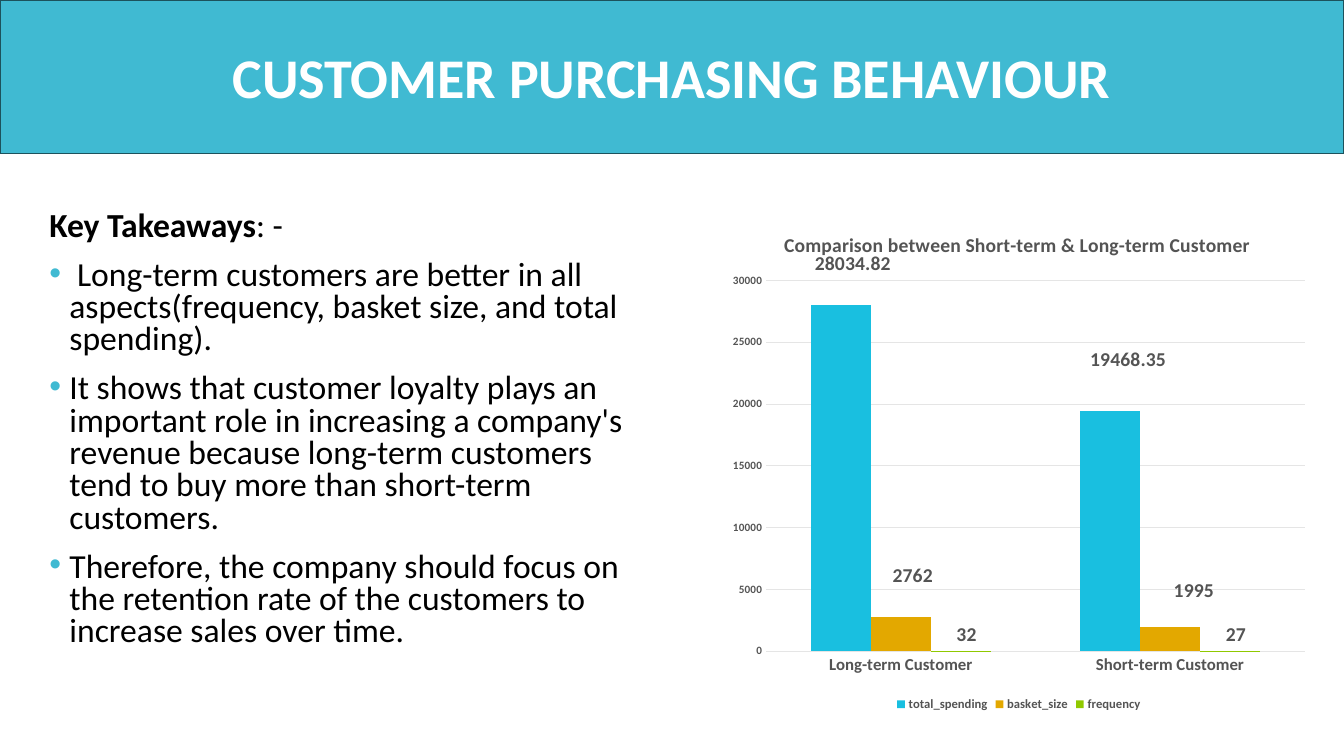
"""Build a slide on customer purchasing behaviour with takeaways and a column chart."""
from lxml import etree
from pptx import Presentation
from pptx import util as u
from pptx.chart import data as chart_data
from pptx.dml.color import RGBColor
from pptx.enum import chart as ch, shapes, text
from pptx.oxml import ns

FONT = "Calibri"
BLACK = RGBColor(0x00, 0x00, 0x00)
WHITE = RGBColor(0xFF, 0xFF, 0xFF)
TEAL = RGBColor(0x40, 0xBA, 0xD2)
DARK_TEAL = RGBColor(0x1C, 0x52, 0x5C)
GREY = RGBColor(0x54, 0x54, 0x54)
GRID = RGBColor(0xE5, 0xE5, 0xE5)
CHART_EXTENSION = "http://schemas.microsoft.com/office/drawing/2012/chart"
LABEL_EXTENSION_ID = "{CE6537A1-D6FC-4f65-9D91-7224C49458BB}"

HEADING = "CUSTOMER PURCHASING BEHAVIOUR "
TAKEAWAYS = [
    " Long-term customers are better in all aspects(frequency, basket size, and total spending).",
    "It shows that customer loyalty plays an important role in increasing a company's revenue "
    "because long-term customers tend to buy more than short-term customers.",
    "Therefore, the company should focus on the retention rate of the customers to increase "
    "sales over time.",
]
CHART_TITLE = "Comparison between Short-term & Long-term Customer"
CATEGORIES = ["Long-term Customer", "Short-term Customer"]
SERIES = [
    ("total_spending", (28034.82, 19468.35), RGBColor(0x19, 0xBF, 0xE0),
     ((0.02, -0.05), (0.03, -0.07))),
    ("basket_size", (2762, 1995), RGBColor(0xE3, 0xA8, 0x00),
     ((0.02, -0.05), (0.04, -0.04))),
    ("frequency", (32, 27), RGBColor(0x90, 0xC9, 0x00),
     ((0.01, 0), (0.01, 0))),
]


def style_font(font, size, color, bold=True):
    values = {"name": FONT, "size": u.Pt(size), "bold": bold}
    for key, value in values.items():
        setattr(font, key, value)
    font.color.rgb = color


def add_span(para, words, size, color, bold):
    span = para.add_run()
    span.text = words
    style_font(span.font, size, color, bold)


def add_text_box(page, left, top, width, height):
    box = page.shapes.add_textbox(*map(u.Inches, (left, top, width, height)))
    box.text_frame.word_wrap = True
    return box.text_frame


def add_bullet(para):
    props = para._p.get_or_add_pPr()
    props.set("marL", str(u.Inches(0.2)))
    props.set("indent", str(-u.Inches(0.2)))
    color = etree.SubElement(props, ns.qn("a:buClr"))
    etree.SubElement(color, ns.qn("a:srgbClr"), val=str(TEAL))
    etree.SubElement(props, ns.qn("a:buFont"), typeface="Arial")
    etree.SubElement(props, ns.qn("a:buChar"), char="•")


def place(parent, before, **values):
    for old in parent.findall(ns.qn("c:layout")):
        parent.remove(old)
    layout = etree.Element(ns.qn("c:layout"))
    manual = etree.SubElement(layout, ns.qn("c:manualLayout"))
    for key, value in values.items():
        etree.SubElement(manual, ns.qn("c:" + key), val=str(value))
    parent.insert(before, layout)


def hide_leader_lines(labels):
    for lines in labels.findall(ns.qn("c:showLeaderLines")):
        lines.set("val", "0")
    extensions = etree.SubElement(labels, ns.qn("c:extLst"))
    extension = etree.SubElement(extensions, ns.qn("c:ext"), uri=LABEL_EXTENSION_ID,
                                 nsmap={"c15": CHART_EXTENSION})
    etree.SubElement(extension, etree.QName(CHART_EXTENSION, "showLeaderLines"), val="0")


def add_header(page):
    band = page.shapes.add_shape(shapes.MSO_SHAPE.RECTANGLE, 0, 0,
                                 u.Inches(13.33), u.Inches(1.52))
    band.shadow.inherit = False
    band.fill.solid()
    band.fill.fore_color.rgb = TEAL
    band.line.color.rgb = DARK_TEAL
    band.line.width = u.Pt(0.85)
    para = add_text_box(page, 0.39, 0.37, 12.67, 0.77).paragraphs[0]
    para.alignment = text.PP_ALIGN.CENTER
    add_span(para, HEADING, 40, WHITE, True)


def add_takeaways(page):
    frame = add_text_box(page, 0.39, 2.05, 5.91, 4.76)
    para = frame.paragraphs[0]
    para.line_spacing = 0.8
    add_span(para, "Key Takeaways", 24, BLACK, True)
    add_span(para, ": -", 24, BLACK, False)
    for takeaway in TAKEAWAYS:
        para = frame.add_paragraph()
        para.line_spacing = 0.8
        para.space_before = u.Pt(12)
        add_bullet(para)
        add_span(para, takeaway, 24, BLACK, False)


def style_axes(chart):
    for axis, size in ((chart.category_axis, 12), (chart.value_axis, 8)):
        axis.major_tick_mark = axis.minor_tick_mark = ch.XL_TICK_MARK.NONE
        style_font(axis.tick_labels.font, size, GREY)
    values = chart.value_axis
    values.minimum_scale, values.maximum_scale, values.major_unit = 0, 30000, 5000
    values.format.line.fill.background()
    for line in (chart.category_axis.format.line, values.major_gridlines.format.line):
        line.color.rgb = GRID
        line.width = u.Pt(0.75)


def add_comparison(page):
    data = chart_data.CategoryChartData()
    data.categories = CATEGORIES
    for name, values, _, _ in SERIES:
        data.add_series(name, values)
    chart = page.shapes.add_chart(
        ch.XL_CHART_TYPE.COLUMN_CLUSTERED,
        *map(u.Inches, (7.15, 2.11, 5.91, 4.99)), data).chart
    style_font(chart.font, 10, BLACK, False)

    title = chart.chart_title
    add_span(title.text_frame.paragraphs[0], CHART_TITLE, 14, GREY, True)
    title.include_in_layout = False
    place(title._element, 1, xMode="edge", yMode="edge", x=0.1, y=0.03)

    chart.has_legend = True
    chart.legend.position = ch.XL_LEGEND_POSITION.BOTTOM
    chart.legend.include_in_layout = False
    style_font(chart.legend.font, 9, GREY)
    style_axes(chart)

    plot = chart.plots[0]
    plot.gap_width, plot.overlap, plot.vary_by_categories = 150, 0, False
    place(chart._chartSpace.chart.plotArea, 0, layoutTarget="inner", xMode="edge",
          yMode="edge", x=0.076, y=0.135, w=0.904, h=0.737)
    for series, (_, _, color, shifts) in zip(plot.series, SERIES):
        series.format.fill.solid()
        series.format.fill.fore_color.rgb = color
        series.data_labels.show_value = True
        style_font(series.data_labels.font, 14, GREY)
        for index, (x, y) in enumerate(shifts):
            label = series.points[index].data_label
            style_font(label.font, 14, GREY)
            label.position = ch.XL_LABEL_POSITION.OUTSIDE_END
            place(label._dLbl, 1, x=x, y=y)
        hide_leader_lines(series.data_labels._element)


def main():
    deck = Presentation()
    deck.slide_width, deck.slide_height = u.Inches(13.33), u.Inches(7.5)
    page = deck.slides.add_slide(deck.slide_layouts[6])
    add_takeaways(page)
    add_comparison(page)
    add_header(page)
    deck.save("out.pptx")


if __name__ == "__main__":
    main()
